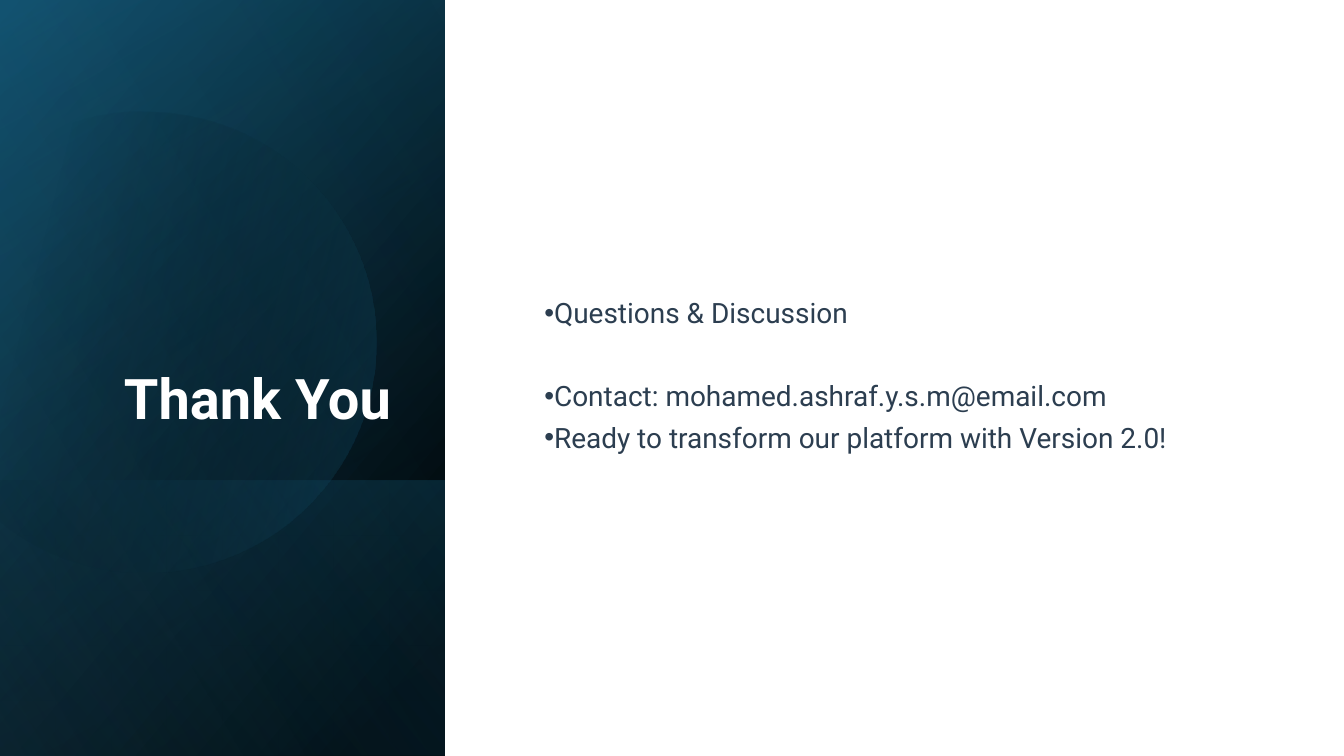
from math import cos, radians, sin

from lxml.etree import SubElement
from pptx import Presentation
from pptx.dml.color import RGBColor
from pptx.enum.shapes import MSO_SHAPE
from pptx.enum.text import MSO_ANCHOR, MSO_AUTO_SIZE, PP_ALIGN
from pptx.oxml.ns import qn
from pptx.util import Inches, Pt

# Content
TITLE = "Thank You"
# text, space before in points
BULLETS = [
    ("Questions & Discussion", 0),
    ("Contact: mohamed.ashraf.y.s.m@email.com", 22),
    ("Ready to transform our platform with Version 2.0!", 0),
]
COLORS = {"white": "FFFFFF", "black": "000000", "deep": "104862",
          "teal": "156082", "sky": "46B1E1", "text": "2C3E50"}
W = 10
H = W * 9 / 16
PANEL_W, FOOT_H = 3.31, 2.05

# Panel layers: top, height, gradient angle, stops (position, color, opacity)
LAYERS = [
    (0, H, 50, [(8, "black", 100), (100, "deep", 100)]),
    (0, H, 30, [(0, "black", 0), (99, "teal", 46)]),
    (H - FOOT_H, FOOT_H, 130, [(2, "teal", 29), (100, "black", 30)]),
]
GLOSS = (0, H, 120, [(0, "black", 0), (99, "sky", 11)])

# Disc outline in slide inches: arc, cut edge on the left, arc
DISC_START = (1.11, 0.83)
ARC_DOWN = [
    ((1.85, 0.84), (2.51, 1.33), (2.73, 2.07)),
    ((2.99, 2.98), (2.46, 3.93), (1.55, 4.19)),
    ((0.98, 4.35), (0.4, 4.21), (-0.02, 3.86)),
]
CUT_EDGE = [(-0.11, 3.77), (-0.11, 1.31), (0, 1.21)]
ARC_UP = [
    ((0.17, 1.07), (0.38, 0.96), (0.6, 0.89)),
    ((0.77, 0.84), (0.95, 0.82), DISC_START),
]
DISC_CENTER, DISC_TURN = (1.19, 2.52), 343.9
DISC_STOPS = [(29, "black", 0), (100, "teal", 43)]


def rgb(name):
    return RGBColor.from_string(COLORS[name])


def fill_gradient(sp, angle, stops):
    sp.fill.gradient()
    grad = sp._element.spPr.find(qn("a:gradFill"))
    grad.set("rotWithShape", "1")
    for child in list(grad):
        grad.remove(child)
    gs_list = SubElement(grad, qn("a:gsLst"))
    for pos, name, opacity in stops:
        gs = SubElement(gs_list, qn("a:gs"), pos=str(pos * 1000))
        color = SubElement(gs, qn("a:srgbClr"), val=COLORS[name])
        SubElement(color, qn("a:alpha"), val=str(opacity * 1000))
    SubElement(grad, qn("a:lin"), ang=str(angle * 60000), scaled="0")


def clean(sp):
    sp.shadow.inherit = False
    sp.line.fill.background()


def add_layer(s, top, height, angle, stops):
    # A quarter turn swaps width and height about the same centre
    left = (PANEL_W - height) / 2
    y = top + (height - PANEL_W) / 2
    sp = s.shapes.add_shape(MSO_SHAPE.RECTANGLE, Inches(left), Inches(y),
                            Inches(height), Inches(PANEL_W))
    sp.rotation = 90
    sp._element.spPr.find(qn("a:xfrm")).set("flipH", "1")
    clean(sp)
    fill_gradient(sp, angle, stops)


def bezier(p0, p1, p2, p3, steps=24):
    for i in range(1, steps + 1):
        t = i / steps
        u = 1 - t
        yield tuple(u**3 * a + 3 * u * u * t * b + 3 * u * t * t * c + t**3 * d
                    for a, b, c, d in zip(p0, p1, p2, p3))


def unturn(point):
    a = radians(-DISC_TURN)
    cx, cy = DISC_CENTER
    dx, dy = point[0] - cx, point[1] - cy
    return (Inches(cx + dx * cos(a) - dy * sin(a)),
            Inches(cy + dx * sin(a) + dy * cos(a)))


def add_disc(s):
    points = [DISC_START]
    for curve in ARC_DOWN:
        points += bezier(points[-1], *curve)
    points += CUT_EDGE
    for curve in ARC_UP:
        points += bezier(points[-1], *curve)
    points = [unturn(p) for p in points]
    fb = s.shapes.build_freeform(*points[0])
    fb.add_line_segments(points[1:], close=True)
    sp = fb.convert_to_shape()
    sp.rotation = DISC_TURN
    clean(sp)
    fill_gradient(sp, 30, DISC_STOPS)


def place(sp, left, top, width, height, anchor):
    sp.left, sp.top = Inches(left), Inches(top)
    sp.width, sp.height = Inches(width), Inches(height)
    tf = sp.text_frame
    tf.word_wrap = True
    tf.auto_size = MSO_AUTO_SIZE.NONE
    tf.vertical_anchor = anchor
    return tf


def write(p, text, color, para, font):
    r = p.add_run()
    r.text = text
    r.font.color.rgb = rgb(color)
    for target, values in ((p, para), (r.font, font)):
        for key, value in values.items():
            setattr(target, key, value)


prs = Presentation()
prs.slide_width, prs.slide_height = Inches(W), Inches(H)
s = prs.slides.add_slide(prs.slide_layouts[1])
title, body = s.shapes.title, s.placeholders[1]

# Background and panel
sp = s.shapes.add_shape(MSO_SHAPE.RECTANGLE, 0, 0, Inches(W), Inches(H))
clean(sp)
sp.fill.solid()
sp.fill.fore_color.rgb = rgb("white")
for layer in LAYERS:
    add_layer(s, *layer)
add_disc(s)
add_layer(s, *GLOSS)

# Title
tf = place(title, 0.38, 0.48, 2.63, 2.78, MSO_ANCHOR.BOTTOM)
write(tf.paragraphs[0], TITLE, "white",
      {"alignment": PP_ALIGN.RIGHT, "line_spacing": 0.9},
      {"name": "Roboto", "size": Pt(30), "bold": True})

# Bullet list
tf = place(body, 3.95, 0.53, 5.38, 4.55, MSO_ANCHOR.MIDDLE)
for i, (text, before) in enumerate(BULLETS):
    p = tf.add_paragraph() if i else tf.paragraphs[0]
    write(p, text, "text",
          {"line_spacing": 0.9, "space_before": Pt(before), "space_after": Pt(6)},
          {"name": "Roboto", "size": Pt(15)})
    pPr = p._p.get_or_add_pPr()
    pPr.set("marL", "0")
    pPr.set("indent", str(-Inches(0.25)))
    SubElement(pPr, qn("a:buChar"), char="•")

# Bring the text in front of the panel
for sp in (title, body):
    s.shapes._spTree.append(sp._element)

prs.save("out.pptx")
